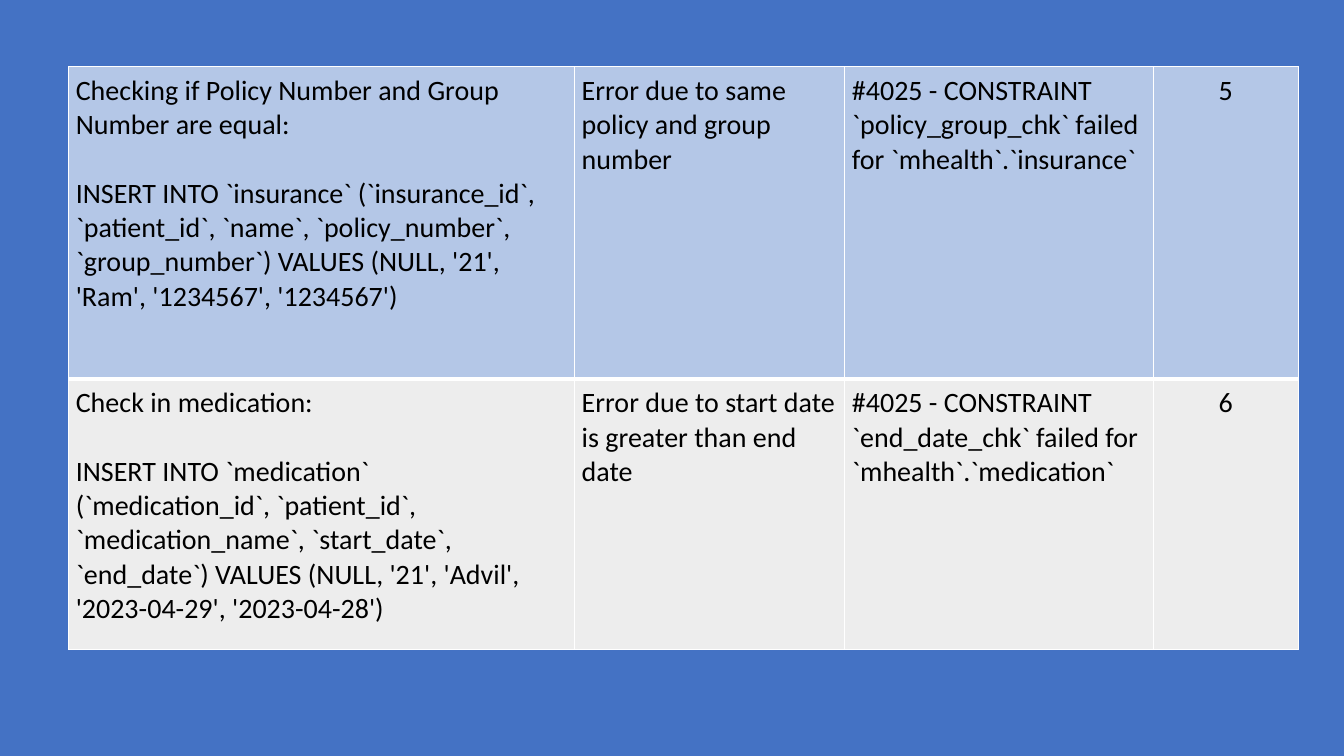
from dataclasses import dataclass

from lxml.etree import SubElement
from pptx import Presentation
from pptx.dml.color import RGBColor
from pptx.enum.text import PP_ALIGN
from pptx.oxml.ns import qn
from pptx.table import _Cell
from pptx.util import Cm, Pt

COLUMN_WIDTHS = (12.75, 6.81, 7.77, 3.66)
ROW_HEIGHTS = (7.87, 6.81)
CELL_MARGIN = Cm(0.18)
BLANK_LAYOUT = 6


@dataclass(frozen=True)
class ConstraintTest:
    heading: str
    statement: str
    reason: str
    message: str
    number: str
    fill: str
    top_line: float
    bottom_line: float


TESTS = (
    ConstraintTest(
        heading="Checking if Policy Number and Group Number are equal:",
        statement="INSERT INTO `insurance` (`insurance_id`, `patient_id`, `name`, "
        "`policy_number`, `group_number`) VALUES (NULL, '21', 'Ram', '1234567', '1234567')",
        reason="Error due to same policy and group number",
        message="#4025 - CONSTRAINT `policy_group_chk` failed for `mhealth`.`insurance`",
        number="5",
        fill="B4C7E7",
        top_line=1,
        bottom_line=3,
    ),
    ConstraintTest(
        heading="Check in medication:",
        statement="INSERT INTO `medication` (`medication_id`, `patient_id`, `medication_name`, "
        "`start_date`, `end_date`) VALUES (NULL, '21', 'Advil', '2023-04-29', '2023-04-28')",
        reason="Error due to start date is greater than end date",
        message="#4025 - CONSTRAINT `end_date_chk` failed for `mhealth`.`medication`",
        number="6",
        fill="EDEDED",
        top_line=3,
        bottom_line=1,
    ),
)


def colour(value: str) -> RGBColor:
    return RGBColor.from_string(value)


def write_text(
    cell: _Cell,
    *paragraphs: str,
    size: float = 20,
    font: str = "Calibri",
    ink: str = "000000",
    align: PP_ALIGN = PP_ALIGN.LEFT,
    gap: float = 24.4,
) -> None:
    frame = cell.text_frame
    for index, text in enumerate(paragraphs):
        para = frame.add_paragraph() if index else frame.paragraphs[0]
        para.alignment = align
        if index:
            para.space_before = Pt(gap)
        span = para.add_run()
        span.text = text
        span.font.size = Pt(size)
        span.font.name = font
        span.font.color.rgb = colour(ink)


def draw_borders(cell: _Cell, top: float, bottom: float, ink: str = "FFFFFF") -> None:
    properties = cell._tc.get_or_add_tcPr()
    for side, width in (("L", 1), ("R", 1), ("T", top), ("B", bottom)):
        line = SubElement(properties, qn(f"a:ln{side}"), w=str(Pt(width)))
        SubElement(SubElement(line, qn("a:solidFill")), qn("a:srgbClr"), val=ink)


def format_cell(cell: _Cell, test: ConstraintTest) -> None:
    cell.margin_left = cell.margin_right = CELL_MARGIN
    cell.margin_top = cell.margin_bottom = CELL_MARGIN
    draw_borders(cell, test.top_line, test.bottom_line)
    cell.fill.solid()
    cell.fill.fore_color.rgb = colour(test.fill)


def main() -> None:
    deck = Presentation()
    deck.slide_width, deck.slide_height = Cm(33.87), Cm(19.05)
    page = deck.slides.add_slide(deck.slide_layouts[BLANK_LAYOUT])
    page.background.fill.solid()
    page.background.fill.fore_color.rgb = colour("4472C4")

    table = page.shapes.add_table(
        len(TESTS),
        len(COLUMN_WIDTHS),
        Cm(1.73),
        Cm(1.68),
        Cm(sum(COLUMN_WIDTHS)),
        Cm(sum(ROW_HEIGHTS)),
    ).table
    table.first_row = table.horz_banding = False
    for column, width in zip(table.columns, COLUMN_WIDTHS):
        column.width = Cm(width)

    for row, height, test in zip(table.rows, ROW_HEIGHTS, TESTS):
        row.height = Cm(height)
        for cell in row.cells:
            format_cell(cell, test)
        query, reason, message, number = row.cells
        write_text(query, test.heading, test.statement)
        write_text(reason, test.reason)
        write_text(message, test.message)
        write_text(number, test.number, align=PP_ALIGN.CENTER)

    deck.save("out.pptx")


if __name__ == "__main__":
    main()
